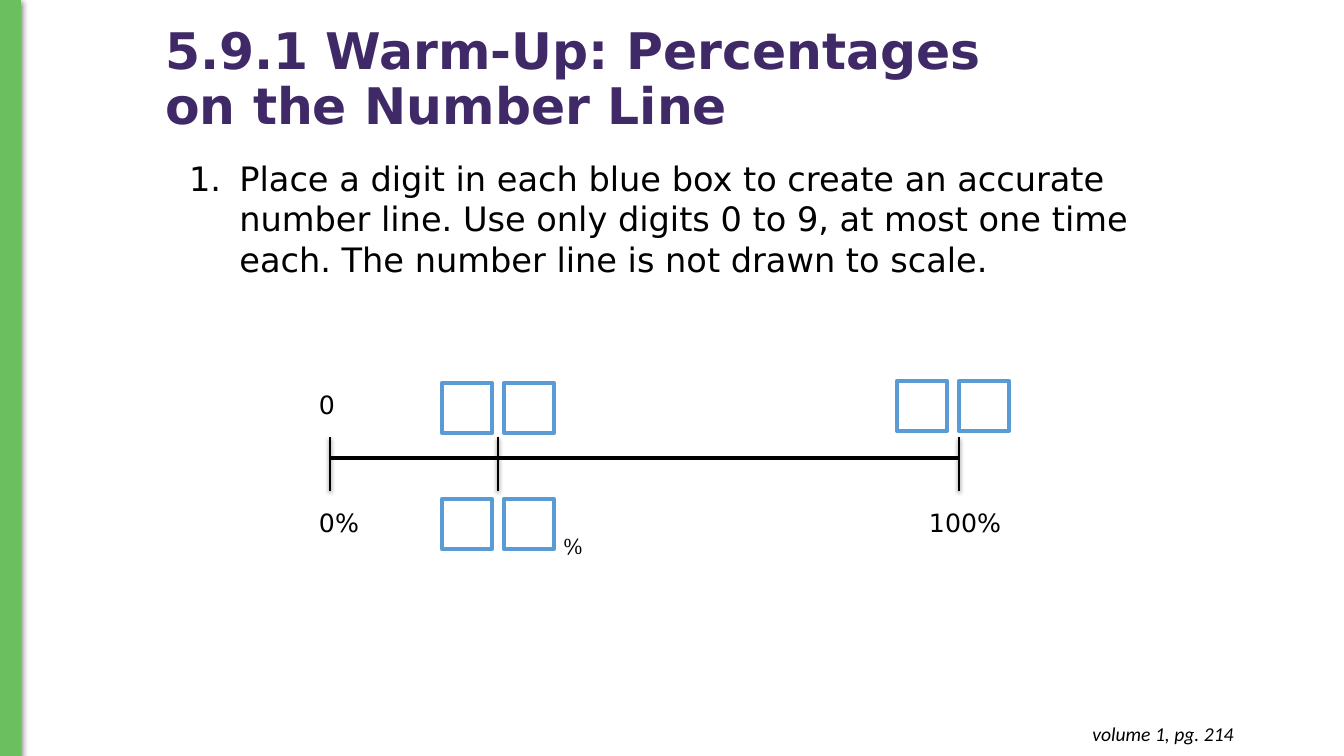
"""Builds the percentages number line warm-up slide."""
import lxml.etree
import pptx
import pptx.dml.color
import pptx.enum.shapes
import pptx.enum.text
import pptx.oxml
import pptx.oxml.ns
import pptx.util

RGB = pptx.dml.color.RGBColor
GREEN = RGB(0x6C, 0xBF, 0x5F)
PURPLE = RGB(0x3F, 0x2A, 0x67)
BLUE = RGB(0x5B, 0x9B, 0xD5)
BLACK = RGB(0, 0, 0)
WHITE = RGB(0xFF, 0xFF, 0xFF)

TITLE = "5.9.1 Warm-Up: Percentages on the Number Line"
TASK = ("Place a digit in each blue box to create an accurate number line. "
        "Use only digits 0 to 9, at most one time each.\u00a0The number line is not drawn to scale.")
PAGE = "volume 1, pg. 214"
LABELS = [
    ("0", (309, 384, 52, 38), {}),
    ("0%", (309, 502, 73, 57), {}),
    ("100%", (919, 502, 116, 48), {}),
    ("%", (553, 514, 51, 35), {"size": 16, "font": "Cambria", "spacing": 1.5}),
]
AXIS = (329, 458, 958, 458)
TICKS = [330, 498, 959]
TICK_TOP, TICK_BOTTOM = 437, 491
DIGIT_PAIRS = [(442, 383), (442, 499), (897, 381)]
DIGIT_SIDE, DIGIT_STEP = 50, 62

EMU_PER_PX = 914400 / 100.8
RECT = pptx.enum.shapes.MSO_SHAPE.RECTANGLE
LEFT, RIGHT = pptx.enum.text.PP_ALIGN.LEFT, pptx.enum.text.PP_ALIGN.RIGHT
TOP, MIDDLE = pptx.enum.text.MSO_ANCHOR.TOP, pptx.enum.text.MSO_ANCHOR.MIDDLE


def px(*lengths):
    return [round(length * EMU_PER_PX) for length in lengths]


def place(part, box):
    part.left, part.top, part.width, part.height = px(*box)


def write(part, text, size=18, font="DejaVu Sans", color=BLACK, bold=False, italic=False,
          align=LEFT, anchor=TOP, spacing=1.0, after=0, inset=5, numbered=False):
    frame = part.text_frame
    frame.auto_size = pptx.enum.text.MSO_AUTO_SIZE.NONE
    frame.word_wrap = True
    frame.vertical_anchor = anchor
    frame.margin_left, frame.margin_right, frame.margin_top, frame.margin_bottom = px(10, 10, inset, inset)
    paragraph = frame.paragraphs[0]
    paragraph.text = text
    if numbered:
        properties = paragraph._p.get_or_add_pPr()
        properties.set("marL", "457200")
        properties.set("indent", "-457200")
        for bullet in (f'<a:buClr %s><a:srgbClr val="{color}"/></a:buClr>',
                       f'<a:buFont %s typeface="{font}"/>',
                       '<a:buAutoNum %s type="arabicPeriod"/>'):
            properties.append(pptx.oxml.parse_xml(bullet % pptx.oxml.ns.nsdecls("a")))
    paragraph.alignment = align
    paragraph.line_spacing = spacing
    paragraph.space_before = pptx.util.Pt(0)
    paragraph.space_after = pptx.util.Pt(after)
    style = paragraph.runs[0].font
    style.name, style.size, style.bold, style.italic = font, pptx.util.Pt(size), bold, italic
    style.color.rgb = color


def set_shadow(part, opacity=0, blur=0, distance=0):
    properties = part._element.spPr
    for old in properties.findall(pptx.oxml.ns.qn("a:effectLst")):
        properties.remove(old)
    effects = lxml.etree.SubElement(properties, pptx.oxml.ns.qn("a:effectLst"))
    if opacity:
        effects.append(pptx.oxml.parse_xml(
            f'<a:outerShdw {pptx.oxml.ns.nsdecls("a")} blurRad="{pptx.util.Pt(blur)}" '
            f'dist="{pptx.util.Pt(distance)}" dir="5400000" rotWithShape="0">'
            f'<a:srgbClr val="{BLACK}"><a:alpha val="{opacity * 1000}"/></a:srgbClr></a:outerShdw>'))


def add_rect(slide, box, fill=None, line=None, width=1):
    rect = slide.shapes.add_shape(RECT, *px(*box))
    rect.shadow.inherit = False
    if fill is None:
        rect.fill.background()
    else:
        rect.fill.solid()
        rect.fill.fore_color.rgb = fill
    if line is None:
        rect.line.fill.background()
    else:
        rect.line.color.rgb = line
        rect.line.width = pptx.util.Pt(width)
    return rect


def add_line(slide, ends, width):
    line = slide.shapes.add_connector(pptx.enum.shapes.MSO_CONNECTOR.STRAIGHT, *px(*ends))
    line.line.color.rgb = BLACK
    line.line.width = pptx.util.Pt(width)
    set_shadow(line)
    return line


def main():
    deck = pptx.Presentation()
    deck.slide_width, deck.slide_height = px(1344, 756)
    slide = deck.slides.add_slide(deck.slide_layouts[1])

    side_bar = add_rect(slide, (-4, -1, 25, 757), GREEN, GREEN, 0.75)
    set_shadow(side_bar, opacity=50, blur=4.5, distance=1.5)

    title, task = slide.shapes.title, slide.placeholders[1]
    place(title, (155, 7, 884, 147))
    write(title, TITLE, size=36, color=PURPLE, bold=True, anchor=MIDDLE, spacing=0.9)
    place(task, (179, 153, 1047, 132))
    write(task, TASK, size=24, numbered=True)

    add_line(slide, AXIS, 3)
    for x in TICKS:
        tick = add_line(slide, (x, TICK_TOP, x, TICK_BOTTOM), 2)
        set_shadow(tick, opacity=38, blur=3.1, distance=1.6)

    for text, box, style in LABELS:
        write(add_rect(slide, box, WHITE), text, after=10, **style)

    for left, top in DIGIT_PAIRS:
        for place_value in range(2):
            add_rect(slide, (left + place_value * DIGIT_STEP, top, DIGIT_SIDE, DIGIT_SIDE),
                     line=BLUE, width=3)

    page = slide.shapes.add_textbox(*px(954, 712, 290, 44))
    write(page, PAGE, size=14, font="Calibri", italic=True, align=RIGHT, inset=10)

    deck.save("out.pptx")


if __name__ == "__main__":
    main()
